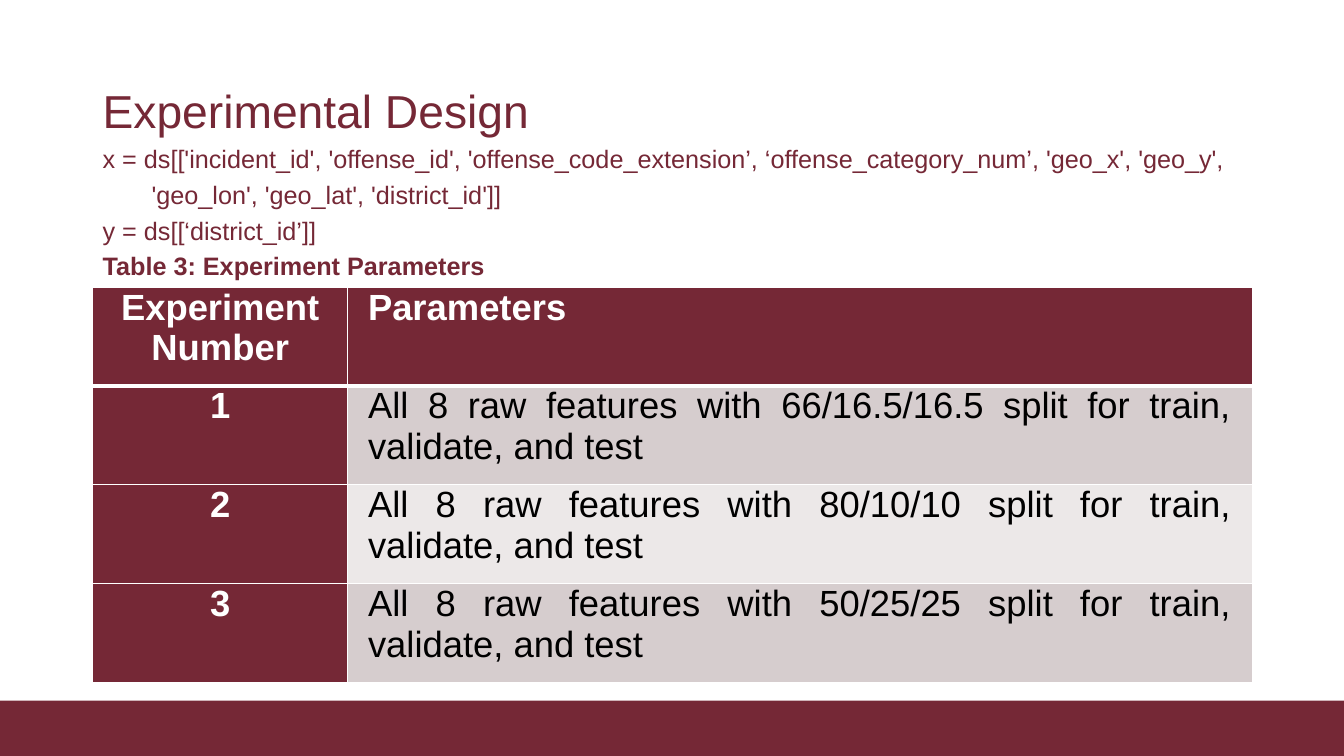
import pptx
import pptx.util
import pptx.dml.color
import pptx.enum.shapes
import pptx.enum.text
import pptx.oxml
import pptx.oxml.ns

Inches = pptx.util.Inches
Pt = pptx.util.Pt
Align = pptx.enum.text.PP_ALIGN
Anchor = pptx.enum.text.MSO_ANCHOR

COLORS = {
    "wine": "752836",
    "white": "FFFFFF",
    "black": "000000",
    "dark": "D6CDCE",
    "light": "ECE8E8",
}
CODE = [
    "x = ds[['incident_id', 'offense_id', 'offense_code_extension’, ‘offense_category_num’, 'geo_x', 'geo_y',",
    "       'geo_lon', 'geo_lat', 'district_id']]",
    "y = ds[[‘district_id’]]",
]
CAPTION = "Table 3: Experiment Parameters"
HEAD = ("Experiment Number", "Parameters")
SPLITS = ("66/16.5/16.5", "80/10/10", "50/25/25")


def color(name):
    return pptx.dml.color.RGBColor.from_string(COLORS[name])


def style(para, size, name, bold=False):
    para.font.name = "Arial"
    para.font.size = Pt(size)
    para.font.bold = bold
    para.font.color.rgb = color(name)


def add_band(slide, left, top, width, height):
    band = slide.shapes.add_shape(
        pptx.enum.shapes.MSO_SHAPE.RECTANGLE,
        Inches(left), Inches(top), Inches(width), Inches(height))
    band.shadow.inherit = False
    band.fill.solid()
    band.fill.fore_color.rgb = color("wine")
    band.line.fill.background()


def add_text(slide, left, top, width, height, lines, size, bold_line=None):
    box = slide.shapes.add_textbox(
        Inches(left), Inches(top), Inches(width), Inches(height))
    frame = box.text_frame
    frame.word_wrap = True
    frame.vertical_anchor = Anchor.MIDDLE
    frame.text = "\n".join(lines)
    for para, line in zip(frame.paragraphs, lines):
        para.line_spacing = 0.9
        para.space_after = Pt(6)
        style(para, size, "wine", line == bold_line)


def add_borders(cell, widths):
    props = cell._tc.get_or_add_tcPr()
    for place, (side, width) in enumerate(widths.items()):
        line = pptx.oxml.parse_xml(
            f'<a:ln{side} {pptx.oxml.ns.nsdecls("a")} w="{Pt(width)}">'
            f'<a:solidFill><a:srgbClr val="{COLORS["white"]}"/></a:solidFill>'
            f'</a:ln{side}>')
        props.insert(place, line)


def fill_cell(cell, text, row, col):
    cell.margin_left = cell.margin_right = Inches(0.2)
    cell.margin_top = cell.margin_bottom = 0
    cell.text = text
    head = row == 0 or col == 0
    para = cell.text_frame.paragraphs[0]
    para.alignment = Align.JUSTIFY if col else Align.CENTER
    style(para, 26, "white" if head else "black", head)
    shade = "wine" if head else "dark" if row % 2 else "light"
    cell.fill.solid()
    cell.fill.fore_color.rgb = color(shade)
    add_borders(cell, {"L": 1, "R": 1,
                       "T": 3 if row == 1 else 1,
                       "B": 3 if row == 0 else 1})


def add_grid(slide, left, top, width, height):
    rows = [HEAD] + [
        (str(num), f"All 8 raw features with {split} split for train, validate, and test")
        for num, split in enumerate(SPLITS, 1)]
    grid = slide.shapes.add_table(
        len(rows), len(HEAD),
        Inches(left), Inches(top), Inches(width), Inches(height)).table
    first = 2.53
    grid.columns[0].width = Inches(first)
    grid.columns[1].width = Inches(width - first)
    for row, texts in enumerate(rows):
        grid.rows[row].height = Inches(height / len(rows))
        for col, text in enumerate(texts):
            fill_cell(grid.cell(row, col), text, row, col)


def main():
    deck = pptx.Presentation()
    deck.slide_width = Inches(13.33)
    deck.slide_height = Inches(7.5)
    slide = deck.slides.add_slide(deck.slide_layouts[6])
    left, width = 0.92, 11.5
    add_band(slide, 0, 6.95, 13.33, 0.55)
    add_text(slide, left, 0.4, width, 1.45, ["Experimental Design"], 33)
    add_grid(slide, left, 2.85, width, 3.92)
    add_text(slide, left, 1.4, width, 1.45, CODE + [CAPTION], 18, CAPTION)
    deck.save("out.pptx")


if __name__ == "__main__":
    main()
